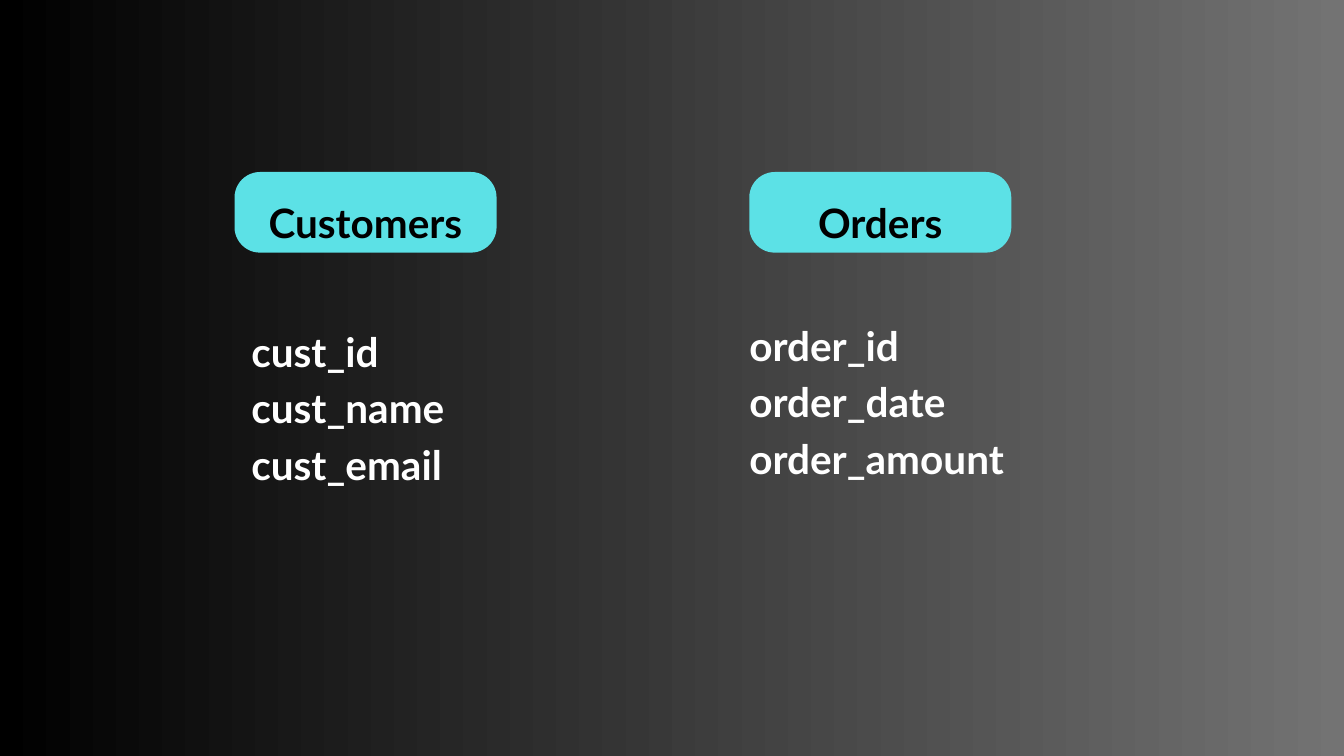
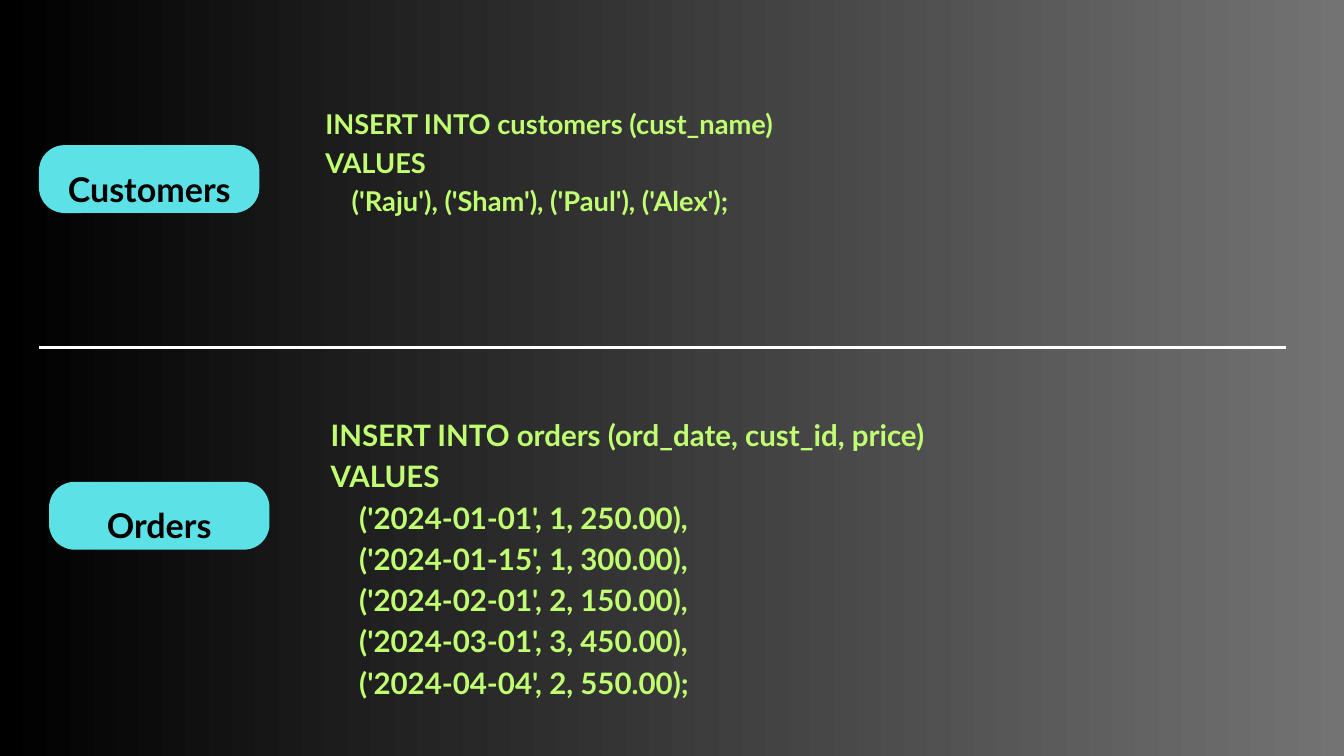
from lxml import etree
from pptx import Presentation
from pptx.dml.color import RGBColor
from pptx.enum.shapes import MSO_CONNECTOR, MSO_SHAPE
from pptx.enum.text import MSO_ANCHOR, PP_ALIGN
from pptx.oxml.ns import qn
from pptx.util import Inches, Pt

ROUNDED = MSO_SHAPE.ROUNDED_RECTANGLE
STRAIGHT = MSO_CONNECTOR.STRAIGHT
TOP = MSO_ANCHOR.TOP
LEFT, CENTER = PP_ALIGN.LEFT, PP_ALIGN.CENTER

COLORS = {
    "dark": "000000",
    "gray": "737373",
    "tag": "5CE1E6",
    "white": "FFFFFF",
    "code": "C1FF72",
}
FONT = "Lato"
LINE_RATIO = 1.4
TAG_RADIUS = 0.38

CUSTOMER_COLUMNS = ["cust_id", "cust_name", "cust_email"]
ORDER_COLUMNS = ["order_id", "order_date", "order_amount"]
CUSTOMER_INSERT = [
    "INSERT INTO customers (cust_name)",
    "VALUES",
    "    ('Raju'), ('Sham'), ('Paul'), ('Alex');",
]
ORDER_INSERT = [
    "INSERT INTO orders (ord_date, cust_id, price)",
    "VALUES",
    "    ('2024-01-01', 1, 250.00),",
    "    ('2024-01-15', 1, 300.00),",
    "    ('2024-02-01', 2, 150.00),",
    "    ('2024-03-01', 3, 450.00),",
    "    ('2024-04-04', 2, 550.00);",
]


def rgb(name):
    """Return the named colour."""
    return RGBColor.from_string(COLORS[name])


def add_gradient_slide(prs):
    """Add a blank slide that fades from black to gray."""
    slide = prs.slides.add_slide(prs.slide_layouts[6])
    fill = slide.background.fill
    fill.gradient()
    fill.gradient_angle = 0
    for stop, name in zip(fill.gradient_stops, ("dark", "gray")):
        stop.color.rgb = rgb(name)
    return slide


def write_lines(frame, lines, size, color, align=LEFT, inset_top=0):
    """Write bold lines, one paragraph each, from the top of a frame."""
    frame.word_wrap = True
    frame.vertical_anchor = TOP
    frame.margin_left = frame.margin_right = frame.margin_bottom = 0
    frame.margin_top = Inches(inset_top)
    for index, line in enumerate(lines):
        paragraph = frame.paragraphs[0] if index == 0 else frame.add_paragraph()
        paragraph.alignment = align
        paragraph.line_spacing = Pt(round(size * LINE_RATIO, 1))
        run = paragraph.add_run()
        run.text = line
        run.font.name = FONT
        run.font.size = Pt(size)
        run.font.bold = True
        run.font.color.rgb = rgb(color)


def add_table_tag(slide, name, left, top, width, height, size, inset_top):
    """Add a rounded tag that holds a table name."""
    tag = slide.shapes.add_shape(
        ROUNDED, Inches(left), Inches(top), Inches(width), Inches(height))
    tag.adjustments[0] = TAG_RADIUS / height
    tag.shadow.inherit = False
    tag.fill.solid()
    tag.fill.fore_color.rgb = rgb("tag")
    tag.line.fill.background()
    write_lines(tag.text_frame, [name], size, "dark", CENTER, inset_top)


def add_lines(slide, lines, left, top, width, height, size, color):
    """Add a text box with column names or code."""
    box = slide.shapes.add_textbox(
        Inches(left), Inches(top), Inches(width), Inches(height))
    write_lines(box.text_frame, lines, size, color)


def add_divider(slide, left, right, y):
    """Add a white horizontal line."""
    divider = slide.shapes.add_connector(
        STRAIGHT, Inches(left), Inches(y), Inches(right), Inches(y))
    divider.line.color.rgb = rgb("white")
    divider.line.width = Pt(3)
    etree.SubElement(divider._element.spPr, qn("a:effectLst"))


def build_columns_slide(prs):
    """Build the slide that lists the columns of both tables."""
    slide = add_gradient_slide(prs)
    for name, left in (("Customers", 3.49), ("Orders", 11.15)):
        add_table_tag(slide, name, left, 2.56, 3.9, 1.2, 43.4, 0.16)
    add_lines(slide, CUSTOMER_COLUMNS, 3.74, 4.74, 3.17, 2.49, 43.4, "white")
    add_lines(slide, ORDER_COLUMNS, 11.15, 4.65, 4.19, 2.49, 43.4, "white")


def build_inserts_slide(prs):
    """Build the slide that fills both tables with rows."""
    slide = add_gradient_slide(prs)
    add_lines(slide, CUSTOMER_INSERT, 4.84, 1.52, 9.78, 2.23, 29.2, "code")
    add_lines(slide, ORDER_INSERT, 4.92, 6.12, 9.7, 4.87, 31.6, "code")
    for name, left, top in (("Customers", 0.58, 2.16), ("Orders", 0.73, 7.17)):
        add_table_tag(slide, name, left, top, 3.28, 1.01, 36.5, 0.13)
    add_divider(slide, 0.58, 19.14, 5.17)


def main():
    """Build and save the presentation."""
    prs = Presentation()
    prs.slide_width = Inches(20)
    prs.slide_height = Inches(11.25)
    build_columns_slide(prs)
    build_inserts_slide(prs)
    prs.save("out.pptx")


if __name__ == "__main__":
    main()
